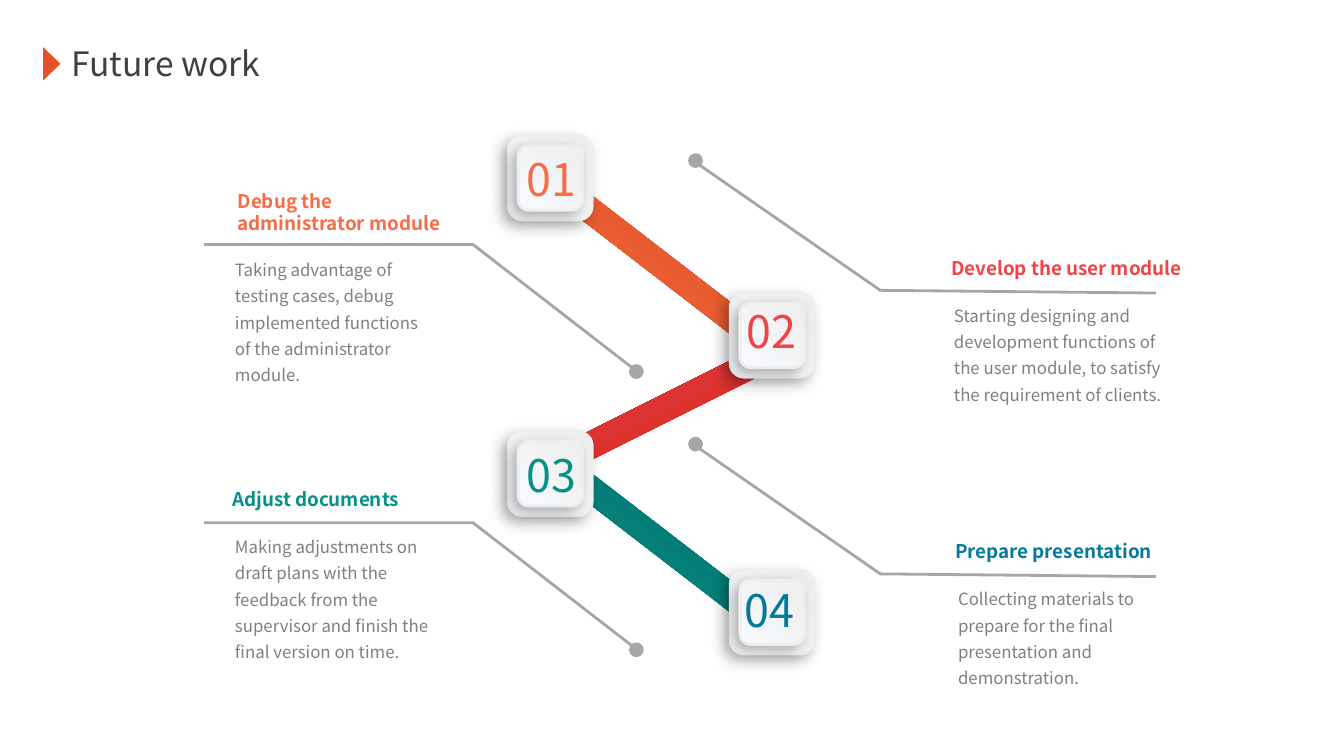
from dataclasses import dataclass

from lxml import etree
from pptx import Presentation
from pptx.dml.color import RGBColor
from pptx.enum.shapes import MSO_SHAPE
from pptx.enum.text import MSO_ANCHOR, PP_ALIGN
from pptx.oxml.ns import qn
from pptx.util import Inches, Pt

RECT = MSO_SHAPE.RECTANGLE
ROUND = MSO_SHAPE.ROUNDED_RECTANGLE
OVAL = MSO_SHAPE.OVAL
ARROW = MSO_SHAPE.ISOSCELES_TRIANGLE
TOP = MSO_ANCHOR.TOP
LEFT = PP_ALIGN.LEFT
FONT = "Noto Sans CJK SC"
GREY = "A6A6A6"
WIDTH = 10
TILE = 0.63
INNER = 0.48
DOT = 0.11

Box = tuple[float, float, float, float]
Point = tuple[float, float]


@dataclass
class Bar:
    box: Box
    turn: float
    start: str
    end: str


@dataclass
class Step:
    label: str
    color: str
    tile: Point
    label_box: Box
    line: list[Point]
    dot: Point
    head: str
    head_box: Box
    wrap: bool
    body: str
    body_box: Box


def rgb(color: str) -> RGBColor:
    return RGBColor.from_string(color)


def left_line(y: float) -> list[Point]:
    return [(4.76, y + 0.96), (3.52, y), (1.52, y)]


def right_line(y: float) -> list[Point]:
    return [(5.15, y), (6.55, y + 0.97), (8.6, y + 0.99)]


def add_shape(kind, box: Box, turn: float = 0):
    shape = slide.shapes.add_shape(kind, *map(Inches, box))
    shape.rotation = turn
    shape.shadow.inherit = False
    shape.line.fill.background()
    return shape


def add_solid(kind, box: Box, color: str, turn: float = 0) -> None:
    shape = add_shape(kind, box, turn)
    shape.fill.solid()
    shape.fill.fore_color.rgb = rgb(color)


def set_fade(shape, start: str, end: str, angle: float) -> None:
    shape.fill.gradient()
    shape.fill.gradient_angle = 360 - angle
    for stop, color, place in zip(shape.fill.gradient_stops, (start, end), (0, 1)):
        stop.color.rgb = rgb(color)
        stop.position = place


def add_shade(shape) -> None:
    effects = shape._element.spPr.find(qn("a:effectLst"))
    shade = etree.SubElement(
        effects, qn("a:outerShdw"), blurRad=str(Pt(8)), dist=str(Pt(4)),
        dir=str(135 * 60000), algn="tr", rotWithShape="0",
    )
    color = etree.SubElement(shade, qn("a:srgbClr"), val="000000")
    etree.SubElement(color, qn("a:alpha"), val="30000")


def add_tile(x: float, y: float) -> None:
    gap = (TILE - INNER) / 2
    for inset, size, width in ((0, TILE, 1), (gap, INNER, 1.5)):
        tile = add_shape(ROUND, (x + inset, y + inset, size, size))
        set_fade(tile, "EEEEEE", "F7FAFD", 135)
        tile.line.color.rgb = rgb("EEEEEE")
        tile.line.width = Pt(width)
        add_shade(tile)


def set_text(shape, text: str, size: float, color: str, wrap: bool = True,
             bold: bool = False, space: float = 1) -> None:
    frame = shape.text_frame
    frame.text = text
    frame.word_wrap = wrap
    frame.vertical_anchor = TOP
    para = frame.paragraphs[0]
    para.alignment = LEFT
    para.line_spacing = space
    para.font.name = FONT
    para.font.size = Pt(size)
    para.font.bold = bold
    para.font.color.rgb = rgb(color)


def add_text(box: Box, text: str, size: float, color: str, wrap: bool = True,
             bold: bool = False, space: float = 1) -> None:
    shape = slide.shapes.add_textbox(*map(Inches, box))
    set_text(shape, text, size, color, wrap, bold, space)


def add_line(points: list[Point], dot: Point) -> None:
    spots = [(Inches(x), Inches(y)) for x, y in points]
    route = slide.shapes.build_freeform(*spots[0])
    route.add_line_segments(spots[1:], close=False)
    line = route.convert_to_shape()
    line.shadow.inherit = False
    line.fill.background()
    line.line.color.rgb = rgb(GREY)
    line.line.width = Pt(1.5)
    add_solid(OVAL, (*dot, DOT, DOT), GREY)


def add_step(step: Step) -> None:
    add_tile(*step.tile)
    add_text(step.label_box, step.label, 24, step.color)
    add_line(step.line, step.dot)
    add_text(step.head_box, step.head, 10.1, step.color, step.wrap, True)
    add_text(step.body_box, step.body, 9, "808080", space=1.3)


BARS = [
    Bar((4.04, 2.93, 1.84, 0.2), 153.4, "C72319", "F34347"),
    Bar((3.82, 3.9, 2.08, 0.19), 37.6, "026C68", "059188"),
    Bar((3.82, 1.83, 2.08, 0.19), 37.6, "DC4A1B", "F66C47"),
]

STEPS = [
    Step("01", "F66C47", (3.78, 1.01), (3.82, 1.08, 0.74, 0.5),
         left_line(1.82), (4.68, 2.71),
         "Debug the administrator module", (1.67, 1.36, 1.77, 0.44), True,
         "Taking advantage of testing cases, debug implemented functions "
         "of the administrator module.", (1.65, 1.84, 1.65, 1.07)),
    Step("02", "F34347", (5.43, 2.18), (5.46, 2.21, 0.66, 0.5),
         right_line(1.19), (5.12, 1.14),
         "Develop the user module", (6.98, 1.86, 2, 0.27), False,
         "Starting designing and development functions of the user module, "
         "to satisfy the requirement of clients.", (7, 2.18, 1.8, 0.87)),
    Step("03", "059188", (3.78, 3.21), (3.82, 3.28, 0.77, 0.5),
         left_line(3.89), (4.68, 4.78),
         "Adjust documents", (1.63, 3.58, 1.5, 0.27), False,
         "Making adjustments on draft plans with the feedback from the "
         "supervisor and finish the final version on time.",
         (1.65, 3.9, 1.65, 1.07)),
    Step("04", "037A9B", (5.43, 4.24), (5.44, 4.29, 0.63, 0.5),
         right_line(3.3), (5.12, 3.25),
         "Prepare presentation", (7.01, 3.97, 1.71, 0.27), False,
         "Collecting materials to prepare for the final presentation and "
         "demonstration.", (7.03, 4.29, 1.65, 0.87)),
]

deck = Presentation()
deck.slide_width = Inches(WIDTH)
deck.slide_height = Inches(WIDTH * 9 / 16)
slide = deck.slides.add_slide(deck.slide_layouts[5])

title = slide.shapes.title
title.left, title.top, title.width, title.height = map(Inches, (0.43, 0.27, 1.65, 0.4))
set_text(title, "Future work", 18, "404040", False)
add_solid(ARROW, (0.26, 0.41, 0.25, 0.13), "E2532A", 90)

for bar in BARS:
    set_fade(add_shape(RECT, bar.box, bar.turn), bar.start, bar.end, 90)
for step in STEPS:
    add_step(step)

deck.save("out.pptx")
